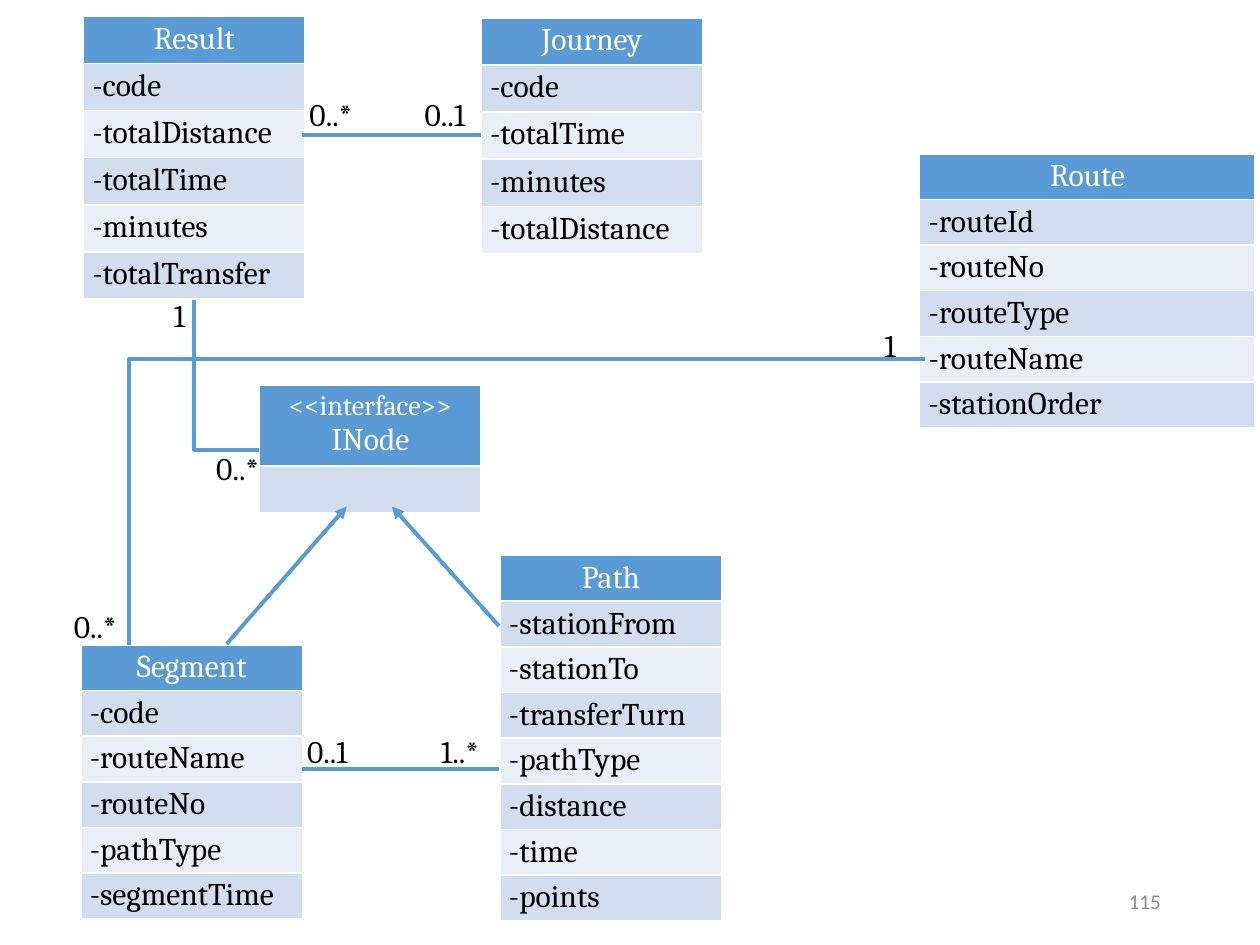
from pptx import Presentation
from pptx.dml.color import RGBColor
from pptx.enum.shapes import MSO_CONNECTOR
from pptx.enum.text import MSO_ANCHOR, MSO_AUTO_SIZE, PP_ALIGN
from pptx.oxml.ns import qn
from pptx.util import Cm, Pt
from lxml import etree

STRAIGHT, ELBOW = MSO_CONNECTOR.STRAIGHT, MSO_CONNECTOR.ELBOW
CENTER, RIGHT, LEFT = PP_ALIGN.CENTER, PP_ALIGN.RIGHT, PP_ALIGN.LEFT
MIDDLE, TOP = MSO_ANCHOR.MIDDLE, MSO_ANCHOR.TOP
FIT = MSO_AUTO_SIZE.SHAPE_TO_FIT_TEXT

BLUE = RGBColor(0x5B, 0x9B, 0xD5)
BAND_DARK = RGBColor(0xD2, 0xDE, 0xEF)
BAND_LIGHT = RGBColor(0xEA, 0xEF, 0xF7)
WHITE = RGBColor(0xFF, 0xFF, 0xFF)
BLACK = RGBColor(0, 0, 0)
GREY = RGBColor(0x8C, 0x8C, 0x8C)

HEADER = {"name": "Cambria", "size": Pt(18), "bold": False}
BODY = {"name": "Cambria", "size": Pt(18)}
NUMBER = {"name": "Calibri", "size": Pt(12)}
INSETS = {"margin_left": Cm(0.18), "margin_right": Cm(0.18),
          "margin_top": Cm(0.09), "margin_bottom": Cm(0.09)}


def write(p, text, formats, color, align=LEFT):
    p.alignment = align
    r = p.add_run()
    r.text = text
    for key, value in formats.items():
        setattr(r.font, key, value)
    r.font.color.rgb = color
    return r


def add_line(kind, x1, y1, x2, y2):
    s = prs_shapes.add_connector(kind, Cm(x1), Cm(y1), Cm(x2), Cm(y2))
    s.line.color.rgb = BLUE
    s.line.width = Pt(2.25)
    etree.SubElement(s._element.spPr, qn("a:effectLst"))
    return s


prs = Presentation()
prs.slide_width, prs.slide_height = Cm(25.4), Cm(19.05)
prs_shapes = prs.slides.add_slide(prs.slide_layouts[6]).shapes

# Class boxes: left, top, width, row height, title, attributes
classes = [
    (10.08, 11.2, 4.47, 0.92, "Path",
     ["-stationFrom", "-stationTo", "-transferTurn", "-pathType",
      "-distance", "-time", "-points"]),
    (18.54, 3.1, 6.76, 0.92, "Route",
     ["-routeId", "-routeNo", "-routeType", "-routeName", "-stationOrder"]),
    (1.63, 13, 4.47, 0.92, "Segment",
     ["-code", "-routeName", "-routeNo", "-pathType", "-segmentTime"]),
    (5.23, 7.77, 4.47, 0.95, "INode", [""]),
    (9.7, 0.36, 4.47, 0.95, "Journey",
     ["-code", "-totalTime", "-minutes", "-totalDistance"]),
    (1.68, 0.33, 4.47, 0.95, "Result",
     ["-code", "-totalDistance", "-totalTime", "-minutes", "-totalTransfer"]),
]
for x, y, w, row_h, title, attributes in classes:
    count = len(attributes) + 1
    s = prs_shapes.add_table(count, 1, Cm(x), Cm(y), Cm(w), Cm(row_h * count))
    table = s.table
    for i, text in enumerate([title] + attributes):
        table.rows[i].height = Cm(row_h)
        cell = table.cell(i, 0)
        for key, value in INSETS.items():
            setattr(cell, key, value)
        cell.fill.solid()
        cell.fill.fore_color.rgb = BLUE if i == 0 else (BAND_LIGHT, BAND_DARK)[i % 2]
        p = cell.text_frame.paragraphs[0]
        if title == "INode" and i == 0:
            table.rows[i].height = Cm(1.62)
            write(p, "<<interface>>", {**HEADER, "size": Pt(16)}, WHITE, CENTER)
            p = cell.text_frame.add_paragraph()
        if i == 0:
            write(p, text, HEADER, WHITE, CENTER)
        elif text:
            write(p, text, BODY, BLACK)

# Associations
add_line(STRAIGHT, 6.08, 2.73, 9.7, 2.73)
add_line(STRAIGHT, 6.08, 15.5, 10.06, 15.5)

# Right-angled associations: horizontal first, then vertical
for ends in [(5.23, 9.07, 3.91, 6.05), (18.64, 7.24, 2.6, 13)]:
    s = add_line(ELBOW, *ends)
    s._element.spPr.find(qn("a:prstGeom")).set("prst", "bentConnector2")

# Realisations pointing at the interface
for ends in [(4.57, 12.98, 6.99, 10.21), (10.06, 12.62, 7.9, 10.21)]:
    s = add_line(STRAIGHT, *ends)
    etree.SubElement(s.line._get_or_add_ln(), qn("a:tailEnd"), type="triangle")

# Multiplicities and page number: left, top, width, text, format, colour, alignment
labels = [(x, y, w, text, BODY, BLACK, LEFT) for x, y, w, text in [
    (1.24, 12.12, 1.42, "0..*"),
    (3.25, 5.84, 0.86, "1"),
    (4.11, 8.92, 1.42, "0..*"),
    (5.99, 1.8, 1.42, "0..*"),
    (8.31, 1.8, 1.5, "0..1"),
    (17.58, 6.45, 0.86, "1"),
    (5.94, 14.63, 1.5, "0..1"),
    (8.64, 14.63, 1.42, "1..*"),
]]
labels.append((17.93, 17.65, 5.72, "115", NUMBER, GREY, RIGHT))
for x, y, w, text, formats, color, align in labels:
    s = prs_shapes.add_textbox(Cm(x), Cm(y), Cm(w), Cm(1.02))
    tf = s.text_frame
    is_number = formats is NUMBER
    tf.word_wrap = is_number
    tf.vertical_anchor = MIDDLE if is_number else TOP
    if not is_number:
        tf.auto_size = FIT
    write(tf.paragraphs[0], text, formats, color, align)

prs.save("out.pptx")
